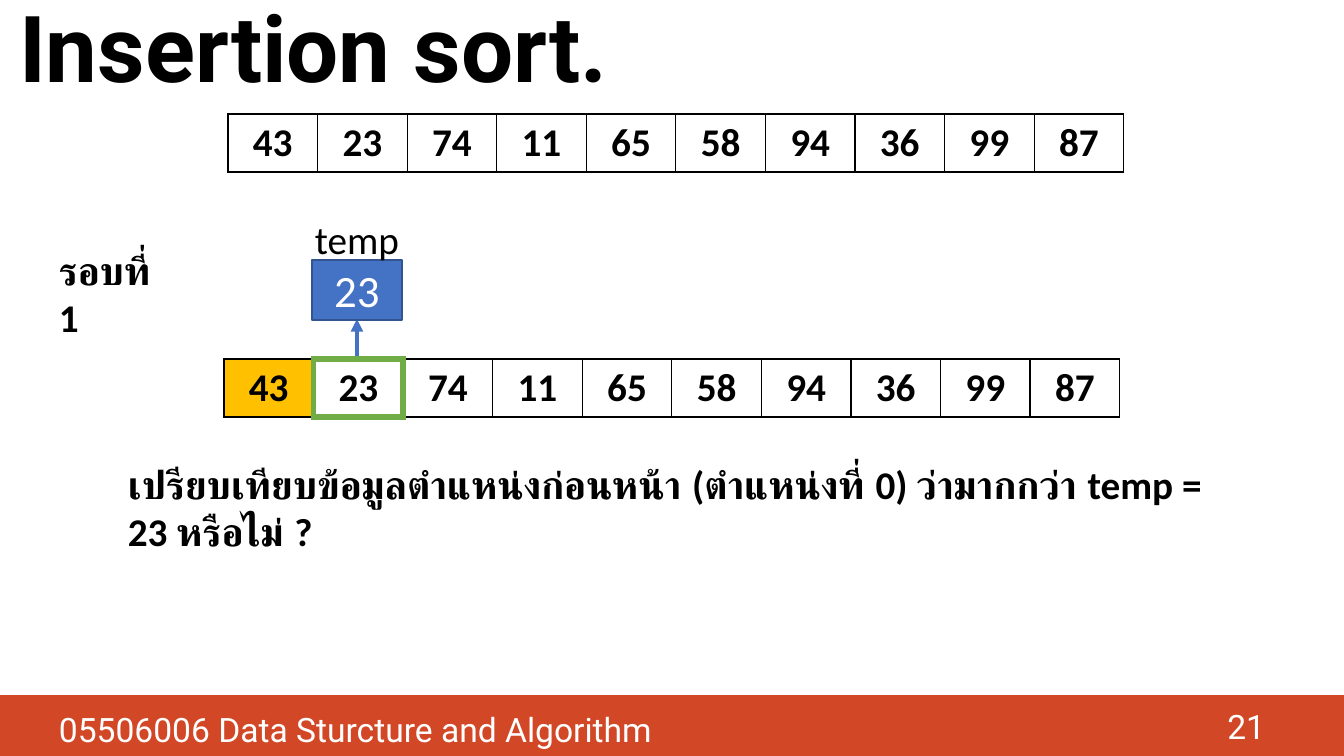
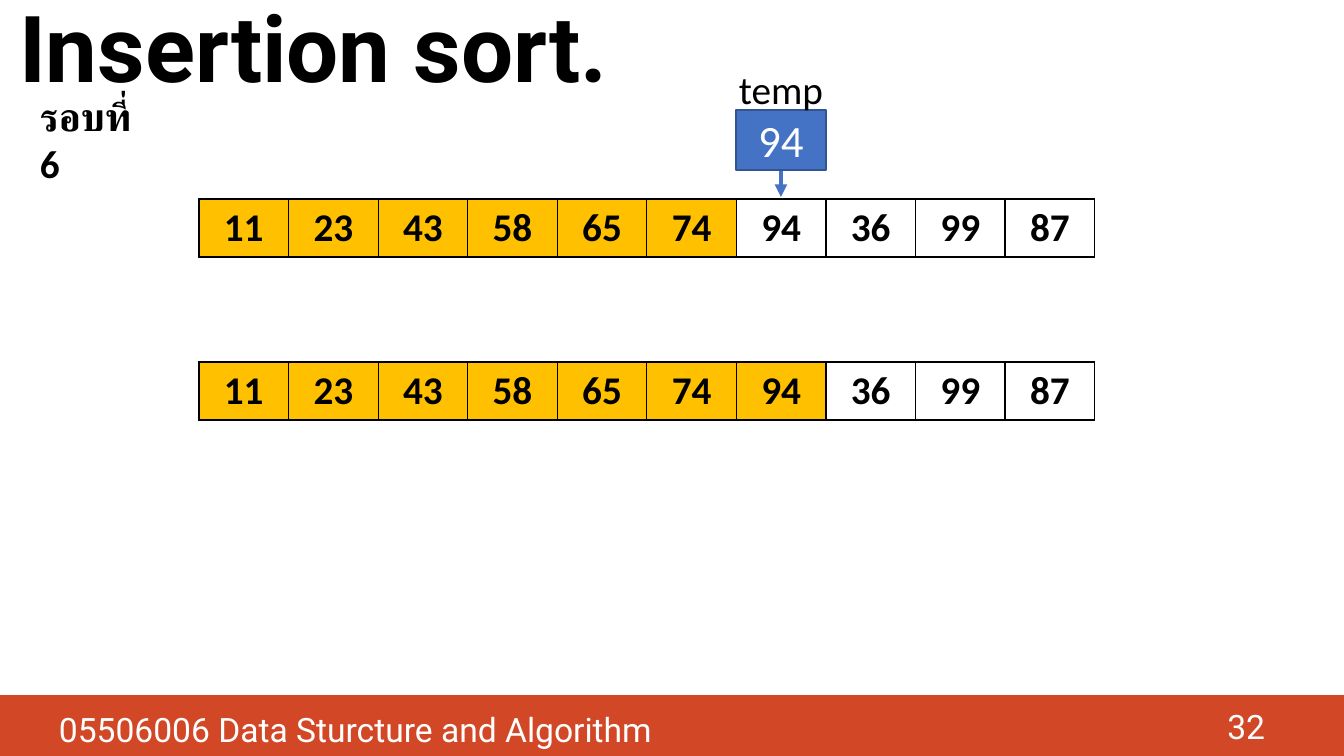
from pptx import Presentation
from pptx.dml.color import RGBColor
from pptx.enum.shapes import MSO_CONNECTOR as Connector, MSO_SHAPE as Shape
from pptx.enum.text import MSO_ANCHOR as Anchor, MSO_AUTO_SIZE as AutoSize, PP_ALIGN as Align
from pptx.oxml.ns import qn
from pptx.util import Emu, Pt
from lxml.etree import SubElement

COLORS = {
    "black": "000000", "white": "FFFFFF", "band": "D24726", "sorted": "FFC000",
    "picked": "70AD47", "temp": "4472C4", "temp_edge": "325491",
}
TITLE = {"name": "Roboto", "size": Pt(66), "bold": True}
FOOTER = {"name": "Roboto", "size": Pt(24), "bold": False}
STRONG = {"name": "Calibri", "size": Pt(28), "bold": True}
LABEL = {"name": "Calibri", "size": Pt(28), "bold": False}
TEMP_VALUE = {"name": "Calibri", "size": Pt(32), "bold": False}

SLIDE_WIDTH, SLIDE_HEIGHT = 1344, 756
ARRAY_WIDTH, ARRAY_HEIGHT = 896, 58
TEMP_WIDTH, TEMP_HEIGHT = 90, 60


def px(length):
    return Emu(round(length * 914400 / 100.8))


def color(name):
    return RGBColor.from_string(COLORS[name])


def write(frame, text, style, ink="black", align=Align.LEFT, anchor=Anchor.TOP):
    frame.word_wrap = True
    frame.vertical_anchor = anchor
    paragraph = frame.paragraphs[0]
    paragraph.alignment = align
    run = paragraph.add_run()
    run.text = text
    for name, value in style.items():
        setattr(run.font, name, value)
    run.font.color.rgb = color(ink)
    return paragraph


def add_text(slide, box, text, style, **options):
    shape = slide.shapes.add_textbox(*map(px, box))
    write(shape.text_frame, text, style, **options)


def add_rectangle(slide, box, fill, edge=None):
    shape = slide.shapes.add_shape(Shape.RECTANGLE, *map(px, box))
    shape.shadow.inherit = False
    shape.fill.solid()
    shape.fill.fore_color.rgb = color(fill)
    if edge:
        shape.line.color.rgb = color(edge)
        shape.line.width = Pt(1)
    else:
        shape.line.fill.background()
    return shape


# Title, band and footer shared by every slide
def add_sort_slide(presentation, number):
    slide = presentation.slides.add_slide(presentation.slide_layouts[5])
    title = slide.shapes.title
    title.left, title.top, title.width, title.height = map(px, (9, -11, 1238, 128))
    paragraph = write(title.text_frame, "Insertion sort.", TITLE, anchor=Anchor.MIDDLE)
    paragraph.line_spacing = 0.9
    title.text_frame.auto_size = AutoSize.NONE
    add_rectangle(slide, (0, 695, SLIDE_WIDTH, 61), "band")
    add_text(slide, (49, 704, 1157, 66), "05506006 Data Sturcture and Algorithm",
             FOOTER, ink="white")
    add_text(slide, (973, 706, 302, 40), str(number), FOOTER, ink="white",
             align=Align.RIGHT, anchor=Anchor.MIDDLE)
    return slide


def set_border(cell, side, ink, width):
    properties = cell._tc.get_or_add_tcPr()
    line = SubElement(properties, qn("a:ln" + side), w=str(Pt(width)))
    SubElement(SubElement(line, qn("a:solidFill")), qn("a:srgbClr"), val=COLORS[ink])


# One array row: the first cells are sorted, one cell may be picked
def add_array(slide, left, top, values, sorted_count=0, picked=None):
    box = map(px, (left, top, ARRAY_WIDTH, ARRAY_HEIGHT))
    table = slide.shapes.add_table(1, len(values), *box).table
    table.first_row = table.horz_banding = False
    picked_sides = {} if picked is None else {
        picked - 1: "R", picked: "LRTB", picked + 1: "L"}
    for index, value in enumerate(values):
        cell = table.cell(0, index)
        for side in "LRTB":
            is_picked = side in picked_sides.get(index, "")
            set_border(cell, side, *(("picked", 4.5) if is_picked else ("black", 1)))
        cell.fill.solid()
        cell.fill.fore_color.rgb = color("sorted" if index < sorted_count else "white")
        write(cell.text_frame, str(value), STRONG, align=Align.CENTER)
        cell.vertical_anchor = Anchor.MIDDLE


# Labelled temp box with an arrow along its centre line
def add_temp(slide, left, top, value, arrow_start, arrow_end):
    center = left + TEMP_WIDTH / 2
    arrow = slide.shapes.add_connector(
        Connector.STRAIGHT, *map(px, (center, arrow_start, center, arrow_end)))
    arrow.line.color.rgb = color("temp")
    arrow.line.width = Pt(3)
    SubElement(arrow.line._get_or_add_ln(), qn("a:tailEnd"), type="triangle")
    SubElement(arrow._element.spPr, qn("a:effectLst"))
    shape = add_rectangle(slide, (left, top, TEMP_WIDTH, TEMP_HEIGHT), "temp", "temp_edge")
    centered = {"align": Align.CENTER, "anchor": Anchor.MIDDLE}
    write(shape.text_frame, str(value), TEMP_VALUE, ink="white", **centered)
    add_text(slide, (center - 70, top - 47, 140, 51), "temp", LABEL, **centered)


def add_round(slide, left, top, number):
    add_text(slide, (left, top, 124, 58), f"รอบที่ {number}", STRONG)


def build_first_round(presentation):
    slide = add_sort_slide(presentation, 21)
    values = [43, 23, 74, 11, 65, 58, 94, 36, 99, 87]
    add_array(slide, 228, 114, values)
    add_round(slide, 49, 241, 1)
    add_array(slide, 224, 359, values, sorted_count=1, picked=1)
    add_temp(slide, 312, 260, 23, arrow_start=356, arrow_end=319)
    add_text(slide, (118, 455, 1129, 58),
             "เปรียบเทียบข้อมูลตำแหน่งก่อนหน้า (ตำแหน่งที่ 0) ว่ามากกว่า temp = 23 หรือไม่ ?",
             STRONG)


def build_sixth_round(presentation):
    slide = add_sort_slide(presentation, 32)
    values = [11, 23, 43, 58, 65, 74, 94, 36, 99, 87]
    add_round(slide, 30, 87, 6)
    add_temp(slide, 736, 110, 94, arrow_start=153, arrow_end=197)
    for top, sorted_count in ((199, 6), (362, 7)):
        add_array(slide, 199, top, values, sorted_count)


presentation = Presentation()
presentation.slide_width, presentation.slide_height = px(SLIDE_WIDTH), px(SLIDE_HEIGHT)
build_first_round(presentation)
build_sixth_round(presentation)
presentation.save("out.pptx")
